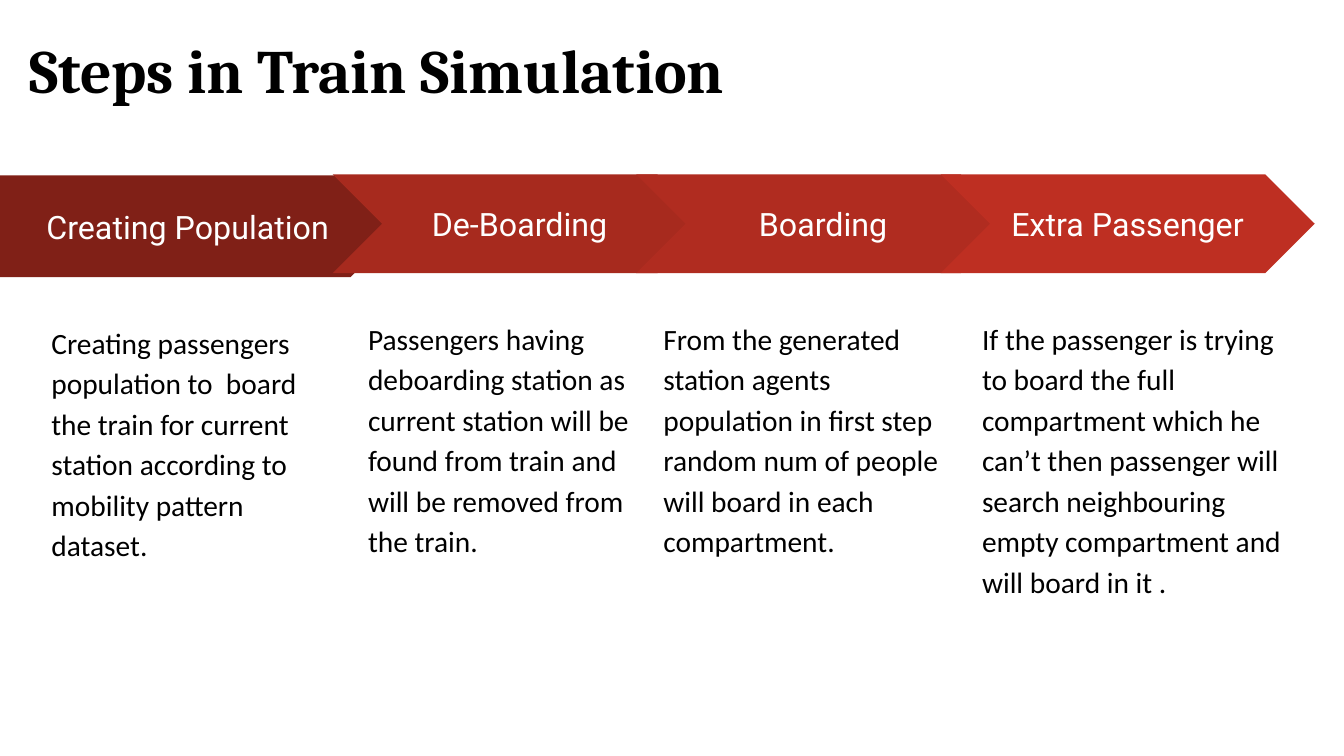
from dataclasses import dataclass

from pptx import Presentation
from pptx.dml.color import RGBColor
from pptx.enum.shapes import MSO_SHAPE as Shape
from pptx.enum.text import MSO_ANCHOR as Anchor, PP_ALIGN as Align
from pptx.util import Emu, Pt

EMU_PER_PX = 9144  # 100 px to the inch
INSET = 13


@dataclass(frozen=True)
class Theme:
    black: str = "000000"
    white: str = "FFFFFF"
    step_reds: tuple = ("802017", "A72A1E", "B02C20", "BE2F22")
    title_font: str = "Cambria"
    label_font: str = "Roboto"
    body_font: str = "Calibri"
    title_size: int = 44
    label_size: int = 23
    body_size: int = 21


THEME = Theme()

TITLE_STYLE = dict(name=THEME.title_font, size=Pt(THEME.title_size), bold=True)
LABEL_STYLE = dict(name=THEME.label_font, size=Pt(THEME.label_size), bold=False)
BODY_STYLE = dict(name=THEME.body_font, size=Pt(THEME.body_size), bold=False)

# Label, arrow shape, arrow box, description box, description
STEPS = [
    ("Creating Population", Shape.PENTAGON, (0, 174, 398, 101), (38, 304, 300, 394),
     "Creating passengers population to  board the train for current station "
     "according to mobility pattern dataset."),
    ("De-Boarding", Shape.CHEVRON, (330, 173, 371, 98), (352, 300, 292, 381),
     "Passengers having deboarding station as current station will be found "
     "from train and will be removed from the train."),
    ("Boarding", Shape.CHEVRON, (631, 173, 371, 98), (645, 300, 320, 381),
     "From the generated station agents population in first step random num "
     "of people will board in each compartment."),
    ("Extra Passenger", Shape.CHEVRON, (933, 173, 371, 98), (961, 300, 342, 398),
     "If the passenger is trying to board the full compartment which he can’t "
     "then passenger will search neighbouring empty compartment and will "
     "board in it ."),
]


def px(length):
    return Emu(length * EMU_PER_PX)


def set_attributes(target, values):
    for name, value in values.items():
        setattr(target, name, value)


def write_text(shape, text, style, color, anchor=Anchor.TOP, **paragraph_format):
    """Fill a shape with one paragraph of uniformly styled, wrapped text."""
    frame = shape.text_frame
    margins = {f"margin_{side}": px(INSET) for side in ("left", "top", "right", "bottom")}
    set_attributes(frame, dict(word_wrap=True, vertical_anchor=anchor, **margins))
    paragraph = frame.paragraphs[0]
    set_attributes(paragraph, paragraph_format)
    run = paragraph.add_run()
    run.text = text
    set_attributes(run.font, style)
    run.font.color.rgb = RGBColor.from_string(color)


def add_text(slide, box, text, style, line_spacing):
    shape = slide.shapes.add_textbox(*map(px, box))
    write_text(shape, text, style, THEME.black,
               alignment=Align.LEFT, line_spacing=line_spacing)


def add_arrow(slide, kind, box, label, color):
    shape = slide.shapes.add_shape(kind, *map(px, box))
    shape.adjustments[0] = 0.5
    shape.shadow.inherit = False
    shape.fill.solid()
    shape.fill.fore_color.rgb = RGBColor.from_string(color)
    shape.line.fill.background()
    write_text(shape, label, LABEL_STYLE, THEME.white, Anchor.MIDDLE,
               alignment=Align.CENTER)


def main():
    presentation = Presentation()
    set_attributes(presentation, dict(slide_width=px(1333), slide_height=px(750)))
    slide = presentation.slides.add_slide(presentation.slide_layouts[6])

    add_text(slide, (16, 27, 1257, 84), "Steps in Train Simulation", TITLE_STYLE, 0.9)
    for step, color in zip(STEPS, THEME.step_reds):
        label, kind, arrow_box, description_box, description = step
        add_arrow(slide, kind, arrow_box, label, color)
        add_text(slide, description_box, description, BODY_STYLE, 1.15)

    presentation.save("out.pptx")


if __name__ == "__main__":
    main()
